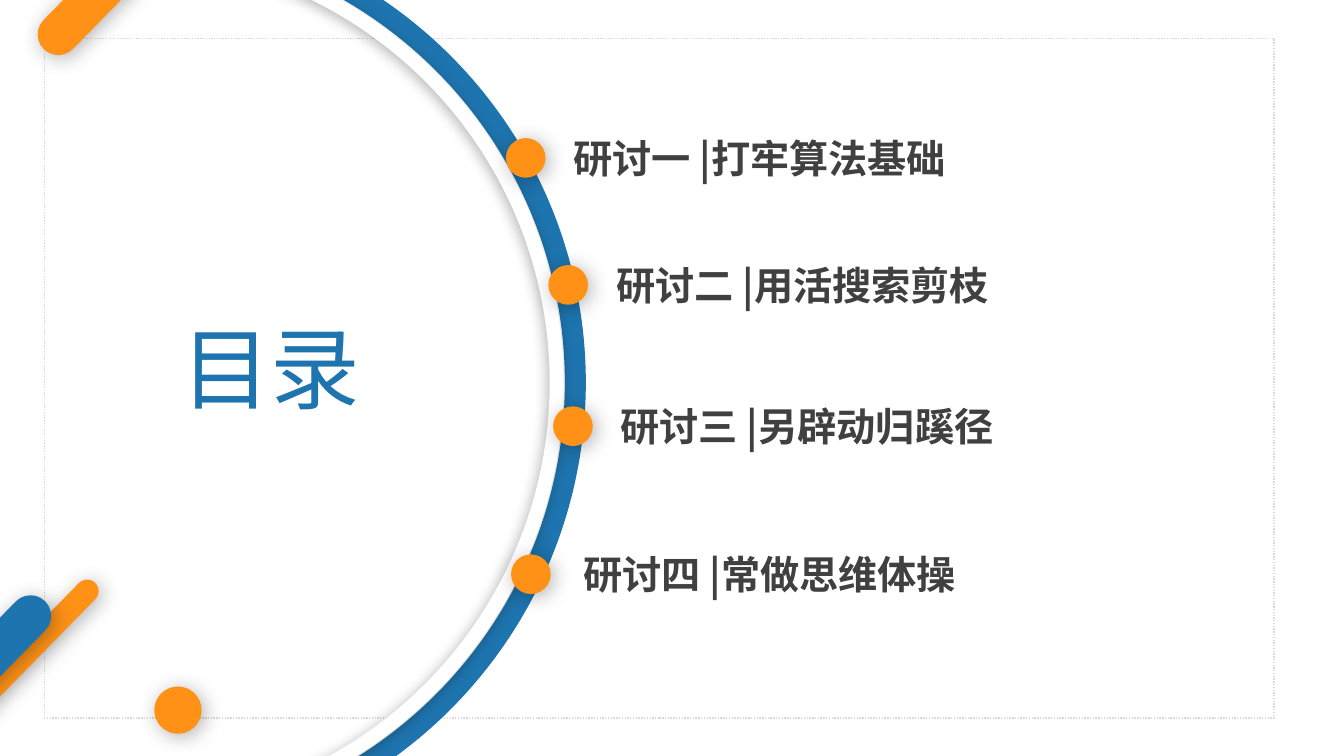
from lxml.etree import SubElement
from pptx import Presentation
from pptx.dml.color import RGBColor
from pptx.enum.dml import MSO_LINE
from pptx.enum.shapes import MSO_SHAPE as Preset
from pptx.enum.text import MSO_ANCHOR as Anchor, MSO_AUTO_SIZE as AutoSize, PP_ALIGN as Align
from pptx.oxml.ns import qn
from pptx.util import Cm, Pt

BLUE, ORANGE = "1E74AE", "FF9216"
FONT = "Noto Sans CJK SC"


def add_figure(preset, left, top, width, height, fill=None, line=None, weight=0, shadow=None):
    figure = slide.shapes.add_shape(preset, Cm(left), Cm(top), Cm(width), Cm(height))
    figure.shadow.inherit = False
    if fill:
        figure.fill.solid()
        figure.fill.fore_color.rgb = RGBColor.from_string(fill)
    else:
        figure.fill.background()
    if line:
        figure.line.color.rgb = RGBColor.from_string(line)
        figure.line.width = Pt(weight)
    else:
        figure.line.fill.background()
    if shadow:
        blur, angle = shadow
        effects = figure._element.spPr.find(qn("a:effectLst"))
        outer = SubElement(effects, qn("a:outerShdw"), blurRad=str(Pt(blur)), dist=str(Pt(3)),
                           dir=str(angle * 60000), algn="ctr", rotWithShape="0")
        black = SubElement(outer, qn("a:srgbClr"), val="000000")
        SubElement(black, qn("a:alpha"), val="30000")
    return figure


def write(frame, text, size, color, bold, align):
    frame.text = text
    frame.auto_size = AutoSize.SHAPE_TO_FIT_TEXT
    paragraph = frame.paragraphs[0]
    paragraph.alignment = align
    font = paragraph.font
    font.name, font.size, font.bold = FONT, Pt(size), bold
    font.color.rgb = RGBColor.from_string(color)
    SubElement(font._element, qn("a:ea"), typeface=FONT)


prs = Presentation()
prs.slide_width, prs.slide_height = Cm(33.87), Cm(19.05)
slide = prs.slides.add_slide(prs.slide_layouts[5])

border = add_figure(Preset.RECTANGLE, 1.12, 0.97, 30.99, 17.12, line="D9D9D9", weight=1)
border.line.dash_style = MSO_LINE.ROUND_DOT

center_x, center_y = 3.11, 9.64
for diameter, color, weight, shadow in [(22.78, BLUE, 15, None), (21.84, "FFFFFF", 10, (10, 135))]:
    add_figure(Preset.OVAL, center_x - diameter / 2, center_y - diameter / 2, diameter, diameter,
               line=color, weight=weight, shadow=shadow)

soft = (15, 45)
for left, top, width, height, color in [
    (-0.46, 13.64, 0.58, 7.34, ORANGE),
    (3.28, -5.36, 1.04, 7.7, ORANGE),
    (-2.08, 14.05, 1.04, 7.7, BLUE),
]:
    bar = add_figure(Preset.ROUNDED_RECTANGLE, left, top, width, height, color, shadow=soft)
    bar.adjustments[0] = 0.5
    bar.rotation = 44.4
add_figure(Preset.OVAL, 3.89, 17.3, 1.19, 1.19, ORANGE, shadow=soft)

heading = slide.shapes.title
heading.left, heading.top, heading.width, heading.height = Cm(3.25), Cm(7.75), Cm(7.14), Cm(3)
write(heading.text_frame, "目录", 64, BLUE, False, Align.CENTER)
heading.text_frame.vertical_anchor = Anchor.TOP

for dot_left, dot_top, topic_left, topic in [
    (12.75, 3.48, 14.2, "研讨一 |打牢算法基础"),
    (13.82, 6.68, 15.28, "研讨二 |用活搜索剪枝"),
    (13.94, 10.24, 15.39, "研讨三 |另辟动归蹊径"),
    (12.88, 13.97, 14.45, "研讨四 |常做思维体操"),
]:
    add_figure(Preset.OVAL, dot_left, dot_top, 1, 1, ORANGE, shadow=soft)
    label = slide.shapes.add_textbox(Cm(topic_left), Cm(dot_top - 0.23), Cm(10.44), Cm(1.45))
    write(label.text_frame, topic, 28, "404040", True, Align.LEFT)
    label.text_frame.word_wrap = False
    label.text_frame.vertical_anchor = Anchor.MIDDLE

prs.save("out.pptx")
